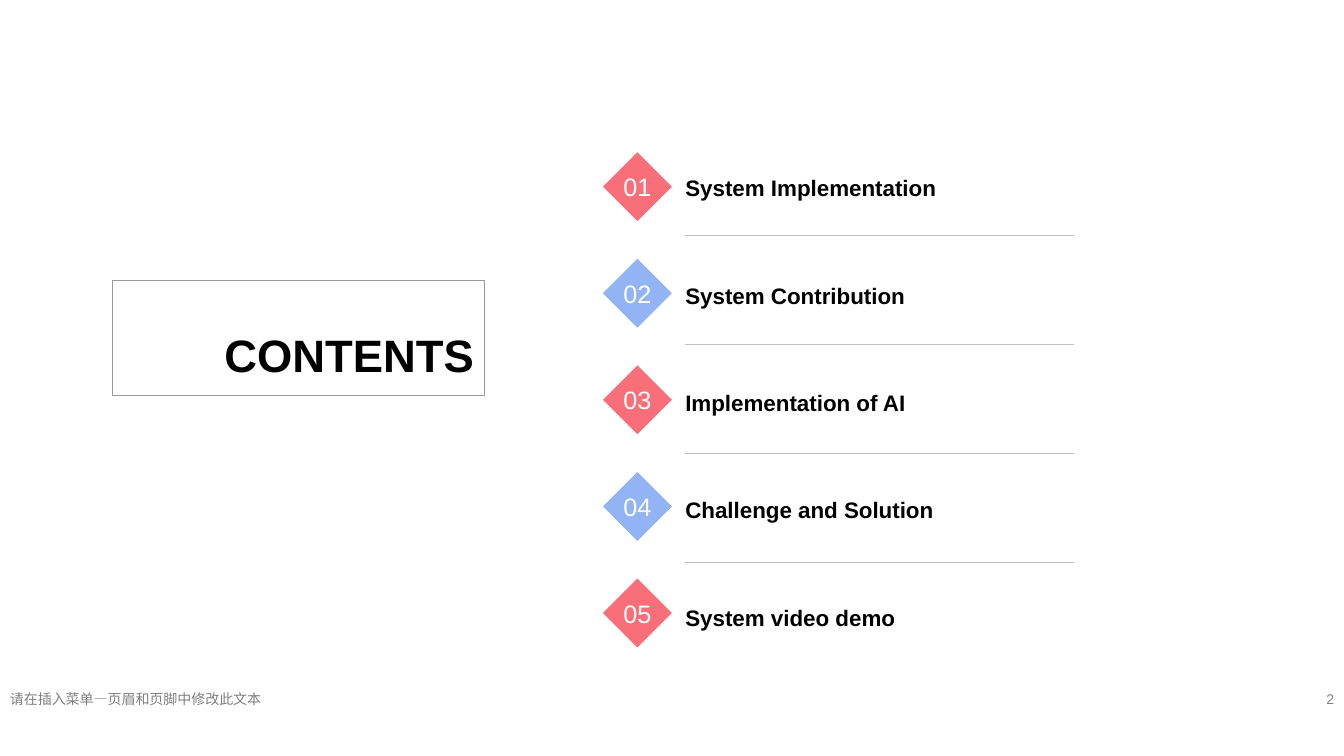
from dataclasses import dataclass

from lxml import etree
from pptx import Presentation
from pptx.dml.color import RGBColor
from pptx.enum.shapes import MSO_CONNECTOR, MSO_SHAPE
from pptx.enum.text import MSO_ANCHOR, MSO_AUTO_SIZE, PP_ALIGN
from pptx.oxml.ns import qn
from pptx.util import Inches, Pt

DIAMOND = MSO_SHAPE.DIAMOND
STRAIGHT = MSO_CONNECTOR.STRAIGHT
MIDDLE, BOTTOM = MSO_ANCHOR.MIDDLE, MSO_ANCHOR.BOTTOM
LEFT, CENTER, RIGHT = PP_ALIGN.LEFT, PP_ALIGN.CENTER, PP_ALIGN.RIGHT


@dataclass(frozen=True)
class Theme:
    font: str = "Arial"
    ink: str = "000000"
    white: str = "FFFFFF"
    muted: str = "808080"
    frame: str = "999999"
    rule: str = "BFBFBF"
    diamonds: tuple = ("F86F79", "93B4F4")
    title_size: float = 32.4
    number_size: float = 18
    label_size: float = 16
    footer_size: float = 10
    hairline: float = 0.25


theme = Theme()
presentation = Presentation()
presentation.slide_width = Inches(13.33)
presentation.slide_height = Inches(7.5)
slide = presentation.slides.add_slide(presentation.slide_layouts[5])


def grid(left, top, width, height):
    """Turn columns and rows, each a hundredth of the slide, into lengths."""
    column = presentation.slide_width / 100
    row = presentation.slide_height / 100
    return [round(length) for length in
            (left * column, top * row, width * column, height * row)]


def write(shape, text, size, color, bold=False, align=LEFT, anchor=MIDDLE):
    frame = shape.text_frame
    frame.auto_size = MSO_AUTO_SIZE.NONE
    frame.word_wrap = True
    frame.vertical_anchor = anchor
    paragraph = frame.paragraphs[0]
    paragraph.alignment = align
    run = paragraph.add_run()
    run.text = text
    run.font.name = theme.font
    run.font.size = Pt(size)
    run.font.bold = bold
    run.font.color.rgb = RGBColor.from_string(color)


# Footer
for left, width, text, align in (
    (0, 33.98, "请在插入菜单—页眉和页脚中修改此文本", LEFT),
    (76.12, 23.88, "2", RIGHT),
):
    footer = slide.shapes.add_textbox(*grid(left, 90.93, width, 3.07))
    write(footer, text, theme.footer_size, theme.muted, align=align)

# Framed title
title = slide.shapes.title
title.left, title.top, title.width, title.height = grid(8.33, 37.07, 27.68, 15.2)
title.line.color.rgb = RGBColor.from_string(theme.frame)
title.line.width = Pt(theme.hairline)
write(title, "CONTENTS", theme.title_size, theme.ink, True, RIGHT, BOTTOM)
title.text_frame.margin_bottom = Inches(0.13)

# Numbered topics, with a rule between neighbours
topics = (
    "System Implementation",
    "System Contribution",
    "Implementation of AI",
    "Challenge and Solution",
    "System video demo",
)
for index, topic in enumerate(topics):
    diamond = slide.shapes.add_shape(
        DIAMOND, *grid(44.86, 20.13 + 14.1 * index, 5.13, 9.12))
    diamond.shadow.inherit = False
    diamond.fill.solid()
    diamond.fill.fore_color.rgb = RGBColor.from_string(
        theme.diamonds[index % len(theme.diamonds)])
    diamond.line.fill.background()
    write(diamond, f"{index + 1:02d}", theme.number_size, theme.white, align=CENTER)
    frame = diamond.text_frame
    frame.margin_left = frame.margin_right = 0
    frame.margin_top = frame.margin_bottom = 0
    frame.word_wrap = False

    label = slide.shapes.add_textbox(
        *grid(50.25, 22.53 + 14.2 * index, 31.28, 4.67))
    write(label, topic, theme.label_size, theme.ink, True)

    if index < len(topics) - 1:
        left, top, width, _ = grid(50.94, 31.07 + 14.44 * index, 28.95, 0)
        rule = slide.shapes.add_connector(STRAIGHT, left, top, left + width, top)
        rule.line.color.rgb = RGBColor.from_string(theme.rule)
        rule.line.width = Pt(theme.hairline)
        etree.SubElement(rule.element.spPr, qn("a:effectLst"))

presentation.save("out.pptx")
